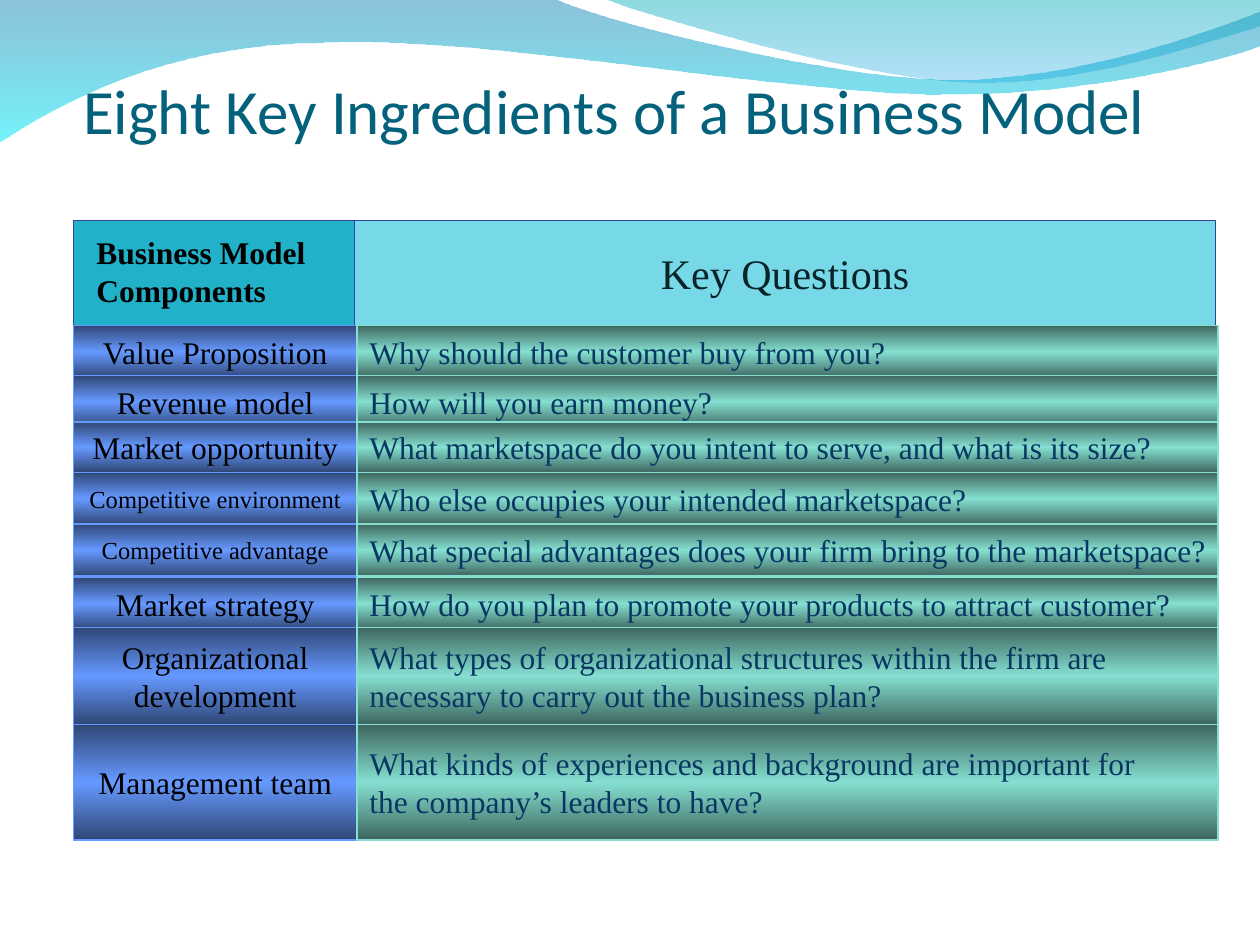
from dataclasses import dataclass

from pptx import Presentation, oxml
from pptx.dml.color import RGBColor
from pptx.enum import shapes, text
from pptx.oxml import ns
from pptx.util import Pt


@dataclass(frozen=True)
class Theme:
    """Colours, fonts and type sizes of the deck."""
    title_font: str = "Calibri"
    body_font: str = "Times New Roman"
    title_size: int = 36
    heading_size: int = 24
    body_size: int = 18
    small_size: int = 14
    title: str = "04617B"
    black: str = "000000"
    heading: str = "072428"
    question: str = "083763"
    header_line: str = "31439B"
    header_left: str = "21B2C9"
    header_right: str = "77D9E8"
    blue: tuple = ("2F4776", "6699FF", "2F4776")
    green: tuple = ("3E6760", "85DFD0", "3E6760")
    wide_wave: tuple = (("0079AF", 45), ("00EBF8", 55))
    right_wave: tuple = (("00ADB6", 45), ("009BE5", 30))


THEME = Theme()
CENTER, LEFT = text.PP_ALIGN.CENTER, text.PP_ALIGN.LEFT
LABEL_WIDTH, QUESTION_WIDTH = 162, 492

WIDE_WAVE = ((0, -0.7), [
    ((316.8, -0.7),),
    ((342.7, 12.2), (478.1, 45.4), (545.8, 45.4)),
    ((614.2, 45.4), (689.8, 18.7), (720, 6.5)),
    ((720.7, 25.9),),
    ((707.8, 31.7), (626.4, 54.7), (537.1, 54)),
    ((447.8, 54), (275, 20.2), (185, 24.5)),
    ((92.9, 25.2), (33.1, 59.8), (-0.7, 81.4)),
    ((0, -0.7),),
])
RIGHT_WAVE = ((344.9, -0.7), [
    ((366.5, 7.9), (491, 44.6), (553.7, 46.8)),
    ((616.3, 49.7), (691.9, 23), (720, 15.1)),
    ((720, 0),),
    ((344.9, -0.7),),
])

ROWS = [
    (186, 30, ["Value Proposition"], THEME.body_size,
     ["Why should the customer buy from you?"]),
    (214.6, 30, ["Revenue model"], THEME.body_size,
     ["How will you earn money?"]),
    (241.2, 28.8, ["Market opportunity"], THEME.body_size,
     ["What marketspace do you intent to serve, and what is its size?"]),
    (270, 30, ["Competitive environment"], THEME.small_size,
     ["Who else occupies your intended marketspace?"]),
    (299.4, 30, ["Competitive advantage"], THEME.small_size,
     ["What special advantages does your firm bring to the marketspace?"]),
    (330, 30, ["Market strategy"], THEME.body_size,
     ["How do you plan to promote your products to attract customer?"]),
    (358.6, 55.4, ["Organizational", "development"], THEME.body_size,
     ["What types of organizational structures within the firm are",
      "necessary to carry out the business plan?"]),
    (414, 66, ["Management team"], THEME.body_size,
     ["What kinds of experiences and background are important for",
      "the company’s leaders to have?"]),
]


def fill_gradient(shape, stops):
    """Fill a shape from top to bottom with evenly spaced (colour, opacity) stops."""
    step = 100000 // (len(stops) - 1)
    marks = "".join(
        f'<a:gs pos="{index * step}"><a:srgbClr val="{color}">'
        f'<a:alpha val="{opacity * 1000}"/></a:srgbClr></a:gs>'
        for index, (color, opacity) in enumerate(stops))
    gradient = oxml.parse_xml(
        f'<a:gradFill {ns.nsdecls("a")} rotWithShape="1"><a:gsLst>{marks}</a:gsLst>'
        '<a:lin ang="5400000" scaled="0"/></a:gradFill>')
    shape.fill.background()
    properties = shape._element.spPr
    properties.replace(properties.find(ns.qn("a:noFill")), gradient)


def write_lines(frame, lines, size, color, align=LEFT, bold=False):
    """Write one paragraph for each line in a frame that does not wrap."""
    frame.word_wrap = False
    for index, line in enumerate(lines):
        para = frame.add_paragraph() if index else frame.paragraphs[0]
        para.text = line
        para.alignment = align
        para.font.name = THEME.body_font
        para.font.size = Pt(size)
        para.font.bold = bold
        para.font.color.rgb = RGBColor.from_string(color)


def add_cell(page, box, fill, line):
    """Add an outlined rectangle with a plain colour or a gradient."""
    cell = page.shapes.add_shape(shapes.MSO_SHAPE.RECTANGLE, *map(Pt, box))
    cell.shadow.inherit = False
    if isinstance(fill, str):
        cell.fill.solid()
        cell.fill.fore_color.rgb = RGBColor.from_string(fill)
    else:
        fill_gradient(cell, [(color, 100) for color in fill])
    cell.line.color.rgb = RGBColor.from_string(line)
    cell.line.width = Pt(1)
    cell.text_frame.vertical_anchor = text.MSO_ANCHOR.MIDDLE
    return cell


def add_wave(page, outline, stops):
    """Draw one translucent wave with cubic curves on the slide master."""
    start, segments = outline
    builder = page.shapes.build_freeform(*map(Pt, start))
    builder.add_line_segments(
        [tuple(map(Pt, point)) for segment in segments for point in segment], close=True)
    wave = builder.convert_to_shape()
    wave.shadow.inherit = False
    wave.line.fill.background()
    fill_gradient(wave, stops)
    lines = iter(list(wave._element.iter(ns.qn("a:lnTo"))))
    for segment in segments:
        first, *others = [next(lines) for _ in segment]
        if others:
            first.tag = ns.qn("a:cubicBezTo")
        for other in others:
            first.append(other[0])
            other.getparent().remove(other)
    master = page.slide_layout.slide_master.shapes
    wave._element.nvSpPr.cNvPr.id = master._next_shape_id
    master._spTree.append(wave._element)


def place_title(page, box):
    """Place and format the title."""
    title = page.shapes.title
    title.left, title.top, title.width, title.height = map(Pt, box)
    frame = title.text_frame
    frame.text = "Eight Key Ingredients of a Business Model"
    frame.auto_size = text.MSO_AUTO_SIZE.NONE
    frame.vertical_anchor = text.MSO_ANCHOR.BOTTOM
    frame.margin_left = frame.margin_right = frame.margin_bottom = 0
    para = frame.paragraphs[0]
    para.alignment = CENTER
    para.font.name = THEME.title_font
    para.font.size = Pt(THEME.title_size)
    para.font.color.rgb = RGBColor.from_string(THEME.title)


def add_header(page, box):
    """Draw the two column headings."""
    left, top, width, height = box
    add_cell(page, (left, top, LABEL_WIDTH, height), THEME.header_left, THEME.header_line)
    heading = add_cell(page, (left + width - QUESTION_WIDTH, top, QUESTION_WIDTH, height),
                       THEME.header_right, THEME.header_line)
    write_lines(heading.text_frame, ["Key Questions"], THEME.heading_size,
                THEME.heading, CENTER)
    label = page.shapes.add_textbox(*map(Pt, (left + 6, top + 3.6, 138, 50.4)))
    write_lines(label.text_frame, ["Business Model", "Components"], THEME.body_size,
                THEME.black, bold=True)
    label.text_frame.auto_size = text.MSO_AUTO_SIZE.SHAPE_TO_FIT_TEXT


def add_row(page, box, label, label_size, question):
    """Draw one component and its key question side by side."""
    left, top, width, height = box
    name = add_cell(page, (left, top, LABEL_WIDTH, height), THEME.blue, THEME.blue[1])
    write_lines(name.text_frame, label, label_size, THEME.black, CENTER)
    answer = add_cell(page, (left + LABEL_WIDTH, top, width - LABEL_WIDTH, height),
                      THEME.green, THEME.green[1])
    write_lines(answer.text_frame, question, THEME.body_size, THEME.question)


def main():
    """Build and save the deck."""
    deck = Presentation()
    deck.slide_width, deck.slide_height = Pt(720), Pt(540)
    page = deck.slides.add_slide(deck.slide_layouts.get_by_name("Title Only"))
    add_wave(page, WIDE_WAVE, THEME.wide_wave)
    add_wave(page, RIGHT_WAVE, THEME.right_wave)
    place_title(page, (0, 42, 702, 42))
    add_header(page, (42, 126, 652.6, 60))
    for top, height, label, label_size, question in ROWS:
        add_row(page, (42, top, LABEL_WIDTH + QUESTION_WIDTH, height),
                label, label_size, question)
    deck.save("out.pptx")


if __name__ == "__main__":
    main()
